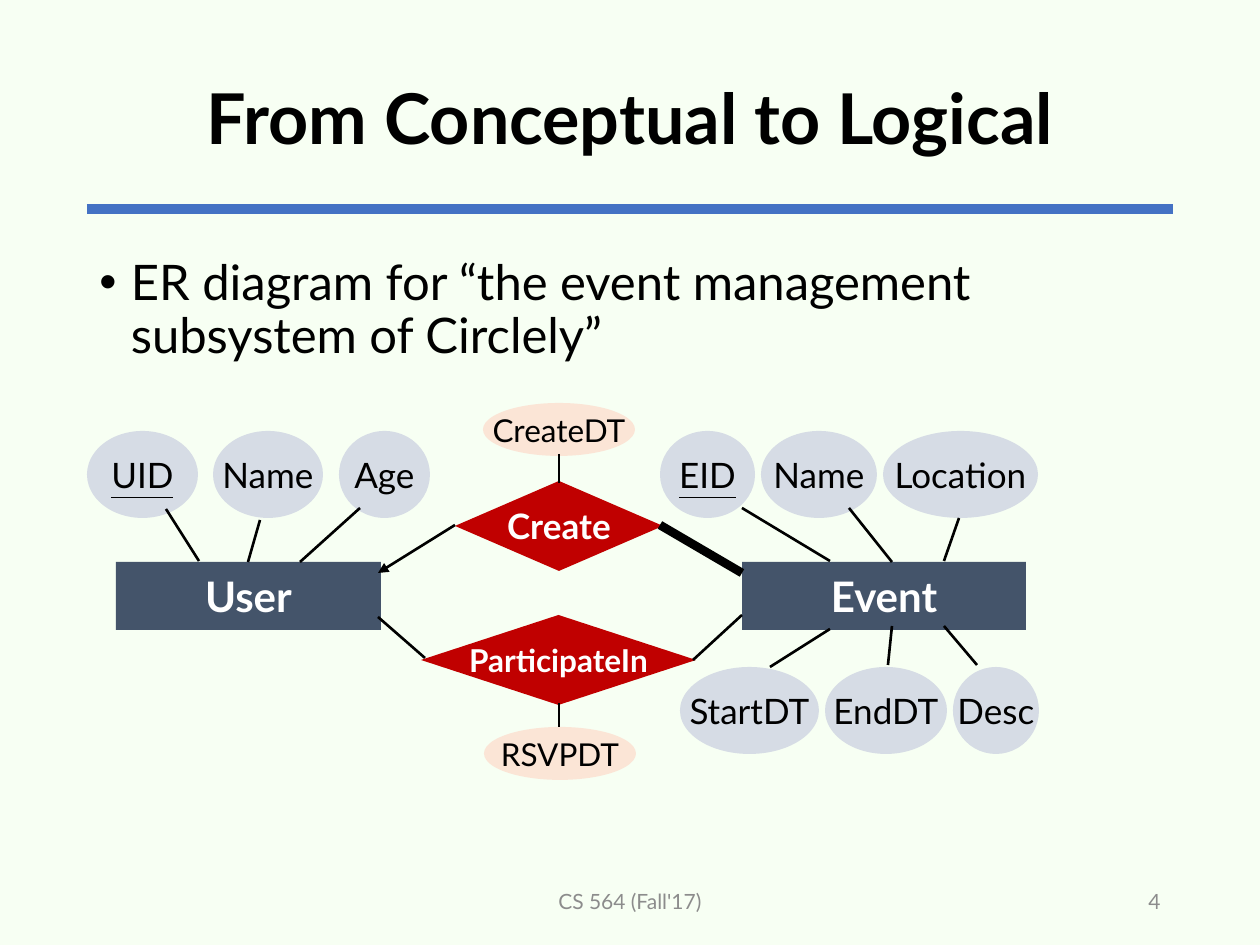
from lxml import etree
from pptx import Presentation, util as u
from pptx.dml.color import RGBColor
from pptx.enum import shapes, text
from pptx.oxml.ns import qn

PX = 914400 / 126
FONT = "Lato"
COLOURS = {
    "page": "F7FFF3", "rule": "4472C4", "ink": "000000", "white": "FFFFFF",
    "muted": "8C8C8C", "entity": "44546A", "attribute": "D6DCE5",
    "relation": "C00000", "relation_attribute": "FBE5D6",
}

# kind: preset shape, text colour, bold
KINDS = {
    "entity": (shapes.MSO_SHAPE.RECTANGLE, "white", True),
    "attribute": (shapes.MSO_SHAPE.OVAL, "ink", False),
    "relation": (shapes.MSO_SHAPE.DIAMOND, "white", True),
    "relation_attribute": (shapes.MSO_SHAPE.OVAL, "ink", False),
}

# kind, top, height, text size, [(label, left, width)]
ROWS = [
    ("entity", 562, 68, 24, [("User", 116, 265), ("Event", 742, 284)]),
    ("attribute", 431, 87, 20, [
        ("UID", 87, 111), ("Name", 213, 110), ("Age", 339, 91),
        ("EID", 660, 95), ("Name", 761, 116), ("Location", 883, 155)]),
    ("attribute", 667, 87, 20, [
        ("StartDT", 680, 139), ("EndDT", 825, 122), ("Desc", 953, 86)]),
    ("relation", 481, 90, 20, [("Create", 455, 208)]),
    ("relation", 615, 90, 18, [("ParticipateIn", 421, 275)]),
    ("relation_attribute", 403, 53, 18, [("CreateDT", 483, 152)]),
    ("relation_attribute", 727, 53, 18, [("RSVPDT", 484, 152)]),
]
KEYS = {"UID", "EID"}

LINKS = [
    (199, 561, 166, 509), (248, 562, 260, 520), (300, 562, 360, 508),
    (830, 561, 742, 508), (892, 562, 849, 508), (944, 561, 959, 518),
    (830, 629, 770, 667), (892, 626, 888, 665), (944, 626, 977, 665),
    (742, 615, 693, 660), (378, 617, 425, 658),
    (559, 454, 559, 483), (559, 703, 559, 727),
]
ARROW_LINK = (378, 573, 455, 525)
TOTAL_LINK = (742, 573, 660, 525)
TITLE_RULE = (87, 209, 1173, 209)

LEFT, CENTRE, RIGHT = text.PP_ALIGN.LEFT, text.PP_ALIGN.CENTER, text.PP_ALIGN.RIGHT
TOP, MIDDLE = text.MSO_ANCHOR.TOP, text.MSO_ANCHOR.MIDDLE
TITLE = ("From Conceptual to Logical", (49, 30, 1162, 183), 40, "ink", CENTRE, MIDDLE)
BODY = ("ER diagram for “the event management subsystem of Circlely”",
        (87, 252, 1086, 171), 28, "ink", LEFT, TOP)
FOOTER = ("CS 564 (Fall'17)", (417, 876, 426, 50), 12, "muted", CENTRE, MIDDLE)
NUMBER = ("4", (890, 876, 283, 50), 12, "muted", RIGHT, MIDDLE)


def emu(*lengths):
    return [round(length * PX) for length in lengths]


def colour(name):
    return RGBColor.from_string(COLOURS[name])


def write(shape, words, size, ink, align=CENTRE, anchor=MIDDLE, bold=False, wrap=True):
    frame = shape.text_frame
    frame.text = words
    frame.word_wrap = wrap
    frame.vertical_anchor = anchor
    para = frame.paragraphs[0]
    para.alignment = align
    font = para.runs[0].font
    font.name, font.size, font.bold = FONT, u.Pt(size), bold
    font.color.rgb = colour(ink)
    return para


def add_text(page, words, box, size, ink, align, anchor, bold=False):
    return write(page.shapes.add_textbox(*emu(*box)), words, size, ink, align, anchor, bold)


def add_node(page, kind, label, box, size):
    preset, ink, bold = KINDS[kind]
    node = page.shapes.add_shape(preset, *emu(*box))
    node.shadow.inherit = False
    node.fill.solid()
    node.fill.fore_color.rgb = colour(kind)
    node.line.fill.background()
    para = write(node, label, size, ink, bold=bold, wrap=False)
    para.runs[0].font.underline = label in KEYS


def add_line(page, ends, width=1.5, ink="ink", arrow=False):
    """Draw a line; an arrow points at its first end."""
    link = page.shapes.add_connector(shapes.MSO_CONNECTOR.STRAIGHT, *emu(*ends))
    link.line.width = u.Pt(width)
    link.line.color.rgb = colour(ink)
    if arrow:
        etree.SubElement(link.line._get_or_add_ln(), qn("a:headEnd"), type="triangle")
    etree.SubElement(link._element.spPr, qn("a:effectLst"))


def add_bullet(para):
    props = para._p.get_or_add_pPr()
    props.set("marL", str(u.Inches(0.25)))
    props.set("indent", str(-u.Inches(0.25)))
    etree.SubElement(props, qn("a:buFont"), typeface="Arial")
    etree.SubElement(props, qn("a:buChar"), char="•")


def main():
    deck = Presentation()
    deck.slide_width, deck.slide_height = emu(1260, 945)
    page = deck.slides.add_slide(deck.slide_layouts[6])
    page.background.fill.solid()
    page.background.fill.fore_color.rgb = colour("page")

    add_line(page, TITLE_RULE, 6, "rule")
    add_text(page, *TITLE, bold=True).line_spacing = 0.9
    body = add_text(page, *BODY)
    add_bullet(body)
    body.line_spacing = 0.9
    for item in (FOOTER, NUMBER):
        add_text(page, *item)

    for kind, top, height, size, nodes in ROWS:
        for label, left, width in nodes:
            add_node(page, kind, label, (left, top, width, height), size)
    for ends in LINKS:
        add_line(page, ends)
    add_line(page, ARROW_LINK, arrow=True)
    add_line(page, TOTAL_LINK, 5)
    deck.save("out.pptx")


if __name__ == "__main__":
    main()
